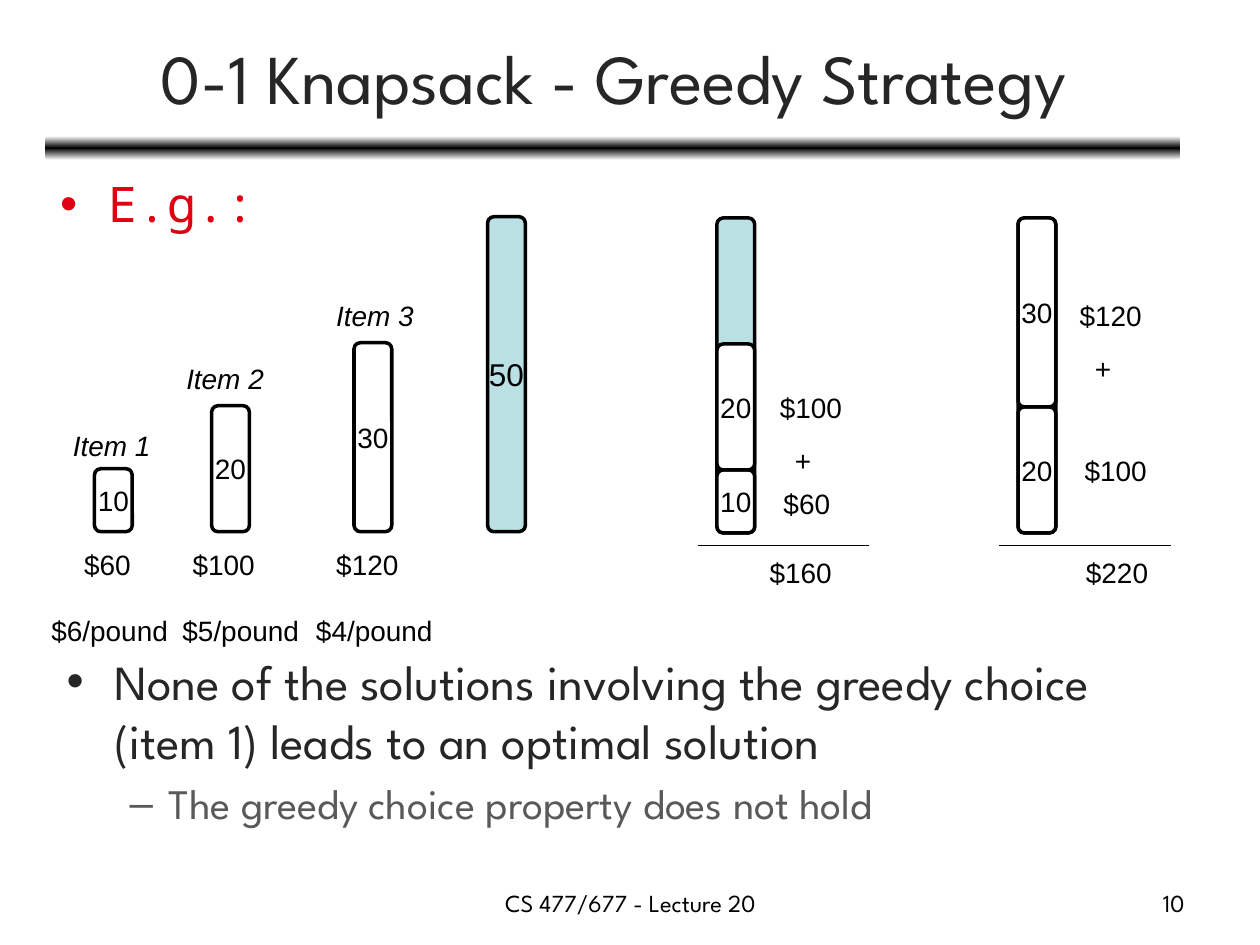
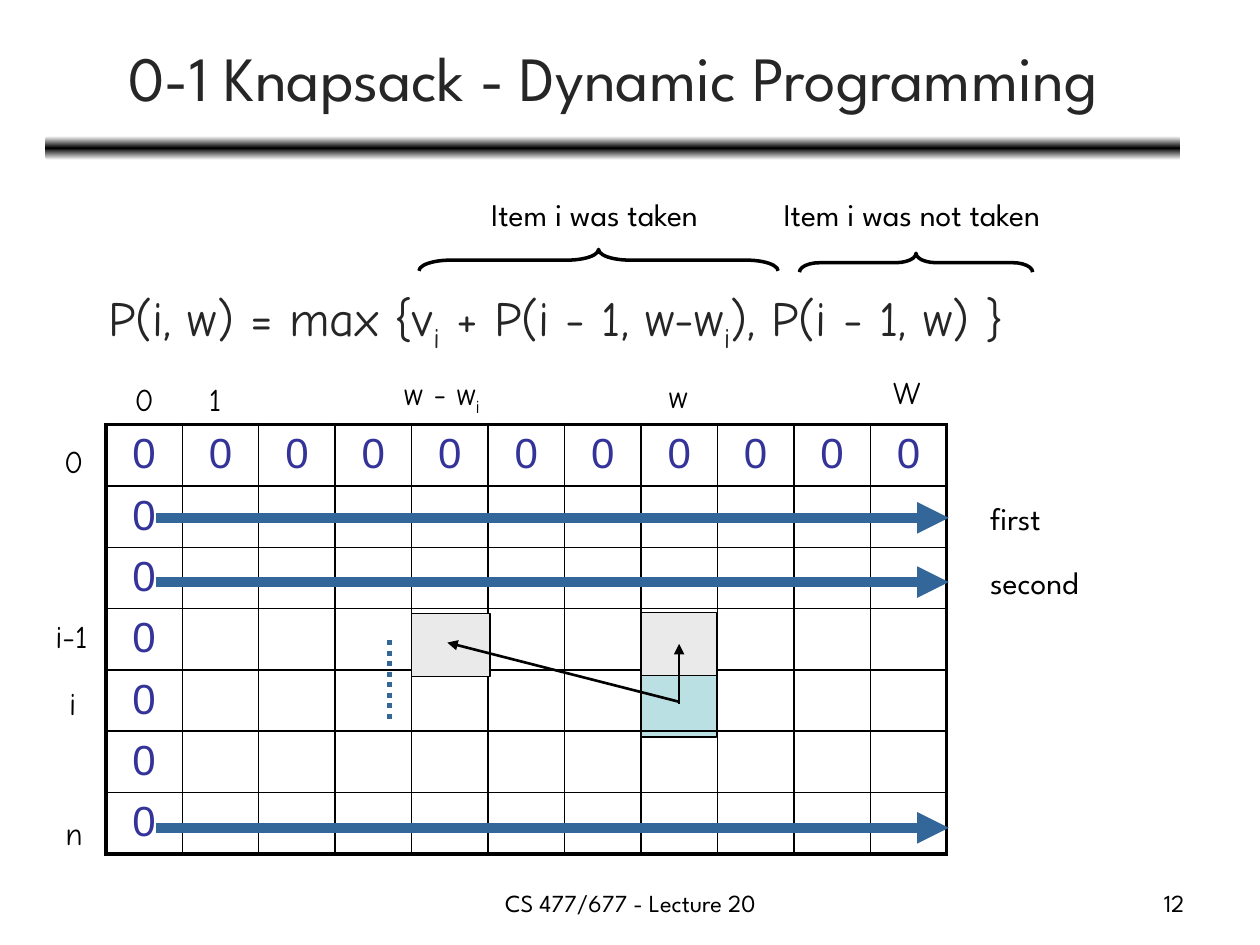
from copy import deepcopy

from lxml import etree
from pptx import Presentation
from pptx import util as u
from pptx.dml.color import RGBColor
from pptx.enum import dml, shapes, text
from pptx.oxml.ns import qn

BLACK = RGBColor(0x00, 0x00, 0x00)
WHITE = RGBColor(0xFF, 0xFF, 0xFF)
INK = RGBColor(0x26, 0x26, 0x26)
SOFT_INK = RGBColor(0x59, 0x59, 0x59)
RED = RGBColor(0xDD, 0x01, 0x11)
TEAL = RGBColor(0xBB, 0xE0, 0xE3)
GREY = RGBColor(0xEA, 0xEA, 0xEA)
NAVY = RGBColor(0x33, 0x33, 0x99)
STEEL = RGBColor(0x33, 0x66, 0x99)

SPARTAN = "League Spartan"
COMIC = "Comic Neue"
MONO = "Noto Sans Mono"
ARIAL = "Arial"

SLIDE_COLUMNS, SLIDE_ROWS = 100, 75
UNIT = u.Inches(0.1)

BAR_WIDTH = 3
UNITS_PER_POUND = 0.5
SHELF = 42.2

TABLE_LEFT, TABLE_TOP = 8.4, 33.7
TABLE_COLUMNS, TABLE_ROWS = 11, 7
CELL_WIDTH, CELL_HEIGHT = 6.07, 4.87


def grid(*lengths):
    return [round(length * UNIT) for length in lengths]


def format_span(span, size, font, color, italic=False, subscript=False):
    span.font.size = u.Pt(size)
    span.font.name = font
    span.font.color.rgb = color
    span.font.italic = italic
    if subscript:
        span._r.get_or_add_rPr().set("baseline", "-25000")


def fill_para(para, value, *, size=16, font=ARIAL, color=BLACK, italic=False,
              align=text.PP_ALIGN.LEFT, before=0, bullet=None, indent=0, hanging=0):
    para.alignment = align
    if before:
        para.space_before = u.Pt(before)
    if indent:
        properties = para._p.get_or_add_pPr()
        properties.set("marL", str(grid(indent)[0]))
        properties.set("indent", str(-grid(hanging)[0]))
        if bullet:
            etree.SubElement(properties, qn("a:buFont"), typeface="Arial")
            etree.SubElement(properties, qn("a:buChar"), char=bullet)
    for index, piece in enumerate(value.split("_")):
        if piece:
            span = para.add_run()
            span.text = piece
            format_span(span, size, font, color, italic, subscript=index % 2 == 1)


def add_text(page, value, place, *, wrap=True, grow=False,
             anchor=text.MSO_ANCHOR.TOP, **style):
    box = page.shapes.add_textbox(*grid(*place))
    frame = box.text_frame
    frame.word_wrap = wrap
    frame.vertical_anchor = anchor
    frame.auto_size = (text.MSO_AUTO_SIZE.SHAPE_TO_FIT_TEXT if grow
                       else text.MSO_AUTO_SIZE.NONE)
    fill_para(frame.paragraphs[0], value, **style)
    return box


def add_label(page, value, left, top, width, *, height=3.7, wrap=False, **style):
    return add_text(page, value, (left, top, width, height),
                    wrap=wrap, grow=True, **style)


def add_block(page, kind, place, *, fill=None, line=BLACK, weight=0.75):
    block = page.shapes.add_shape(kind, *grid(*place))
    block.shadow.inherit = False
    if fill is None:
        block.fill.background()
    else:
        block.fill.solid()
        block.fill.fore_color.rgb = fill
    if line is None:
        block.line.fill.background()
    else:
        block.line.color.rgb = line
        block.line.width = u.Pt(weight)
    return block


def add_line(page, start, end, *, color=BLACK, weight=0.75, dash=None, arrow=False):
    line = page.shapes.add_connector(shapes.MSO_CONNECTOR.STRAIGHT,
                                     *grid(*start, *end))
    line.line.color.rgb = color
    line.line.width = u.Pt(weight)
    if dash:
        line.line.dash_style = dash
    if arrow:
        etree.SubElement(line.line._get_or_add_ln(), qn("a:tailEnd"), type="triangle")
    etree.SubElement(line._element.spPr, qn("a:effectLst"))


def add_band(page):
    band = add_block(page, shapes.MSO_SHAPE.ROUNDED_RECTANGLE,
                     (3.6, 10.8, 90.1, 1.9), line=None)
    band.fill.gradient()
    band.fill.gradient_angle = 90
    stops = band._element.spPr.find(".//" + qn("a:gsLst"))
    stops.append(deepcopy(stops[0]))
    for index, color in enumerate((WHITE, BLACK, WHITE)):
        stop = band.fill.gradient_stops[index]
        stop.position = index / 2
        stop.color.rgb = color


def add_page(deck, title, number, title_size):
    page = deck.slides.add_slide(deck.slide_layouts[6])
    add_band(page)
    add_text(page, title, (3.7, 1.1, 90, 9.9), size=title_size, font=SPARTAN,
             color=INK, align=text.PP_ALIGN.CENTER, anchor=text.MSO_ANCHOR.MIDDLE)
    add_text(page, "CS 477/677 - Lecture 20", (34.2, 70, 31.7, 3.5), size=14,
             font=SPARTAN, align=text.PP_ALIGN.CENTER)
    add_text(page, number, (71.7, 70, 23.3, 3.5), size=14, font=SPARTAN,
             align=text.PP_ALIGN.RIGHT)
    return page


def add_bar(page, left, pounds, *, bottom=SHELF, fill=WHITE, size=16, labelled=True):
    height = pounds * UNITS_PER_POUND
    bar = add_block(page, shapes.MSO_SHAPE.ROUNDED_RECTANGLE,
                    (left, bottom - height, BAR_WIDTH, height), fill=fill, weight=2)
    if labelled:
        frame = bar.text_frame
        frame.word_wrap = False
        frame.vertical_anchor = text.MSO_ANCHOR.MIDDLE
        fill_para(frame.paragraphs[0], str(pounds), size=size,
                  align=text.PP_ALIGN.CENTER)
    return bottom - height


def add_packed_sack(page, left, loads):
    bottom = SHELF + 0.1
    add_bar(page, left, 50, bottom=bottom, fill=TEAL, labelled=False)
    for pounds in loads:
        bottom = add_bar(page, left, pounds, bottom=bottom)
    add_line(page, (left - 1.5, 43.3), (left + 12.1, 43.3))


def add_addend(page, value, left, top):
    box = add_label(page, value, left, top, 6.9, height=7.7)
    fill_para(box.text_frame.add_paragraph(), "+", before=11, indent=1.2)


def add_brace(page, center, top, width, depth, curl):
    brace = add_block(page, shapes.MSO_SHAPE.LEFT_BRACE,
                      (center - depth / 2, top + depth / 2 - width / 2, depth, width),
                      weight=2)
    brace.adjustments[0] = curl
    brace.rotation = 90


def set_border(cell, side, weight):
    edge = etree.SubElement(cell._tc.get_or_add_tcPr(), qn("a:ln" + side),
                            w=str(u.Pt(weight)))
    paint = etree.SubElement(edge, qn("a:solidFill"))
    etree.SubElement(paint, qn("a:srgbClr"), val=str(BLACK))


def add_value_table(page):
    table = page.shapes.add_table(
        TABLE_ROWS, TABLE_COLUMNS,
        *grid(TABLE_LEFT, TABLE_TOP, TABLE_COLUMNS * CELL_WIDTH,
              TABLE_ROWS * CELL_HEIGHT)).table
    table.first_row = table.horz_banding = False
    for column in table.columns:
        column.width = grid(CELL_WIDTH)[0]
    for row_index, row in enumerate(table.rows):
        row.height = grid(CELL_HEIGHT)[0]
        for column_index, cell in enumerate(row.cells):
            outer = {"L": column_index == 0, "R": column_index == TABLE_COLUMNS - 1,
                     "T": row_index == 0, "B": row_index == TABLE_ROWS - 1}
            for side, is_outer in outer.items():
                set_border(cell, side, 2.25 if is_outer else 1)
            cell.fill.background()
            if row_index == 0 or column_index == 0:
                fill_para(cell.text_frame.paragraphs[0], "0", size=24, color=NAVY,
                          align=text.PP_ALIGN.CENTER)


def build_greedy(deck):
    page = add_page(deck, "0-1 Knapsack - Greedy Strategy", "10", 40)
    add_text(page, "E.g.:", (3.8, 13.3, 90, 11.8), size=28, font=MONO, color=RED,
             bullet="•", indent=3.8, hanging=3.8)

    items = [(7.5, 10, 4.8, 33.5, "$60", 5.7, 5.7, "$6/pound", 3.1),
             (16.8, 20, 13.8, 28.2, "$100", 14.3, 6.9, "$5/pound", 13.5),
             (28.1, 30, 25.7, 23.2, "$120", 25.7, 6.9, "$4/pound", 24.1)]
    for number, item in enumerate(items, 1):
        left, pounds, name_left, name_top, price, price_left, width, rate, rate_left = item
        add_bar(page, left, pounds)
        add_label(page, f"Item {number}", name_left, name_top, 8.2, italic=True)
        add_label(page, price, price_left, 43, width)
        add_label(page, rate, rate_left, 48.2, 11.3)
    add_bar(page, 38.7, 50, fill=TEAL, size=18)

    add_packed_sack(page, 56.9, (10, 20))
    add_addend(page, "$100", 60.9, 30.5)
    add_label(page, "$60", 61.2, 38.1, 5.7)
    add_label(page, "$160", 60.1, 43.6, 6.9)

    add_packed_sack(page, 80.8, (20, 30))
    add_addend(page, "$120", 84.7, 23.2)
    add_label(page, "$100", 85.1, 35.5, 6.9)
    add_label(page, "$220", 85.2, 43.6, 6.9)

    summary = add_text(page, "None of the solutions involving the greedy choice "
                       "(item 1) leads to an optimal solution", (4.3, 51.2, 90, 20.5),
                       size=28, font=SPARTAN, color=INK, bullet="•",
                       indent=3.8, hanging=3.8)
    fill_para(summary.text_frame.add_paragraph(),
              "The greedy choice property does not hold", size=24, font=SPARTAN,
              color=SOFT_INK, before=4.8, bullet="–", indent=8.1, hanging=3.1)


def build_dynamic(deck):
    page = add_page(deck, "0-1 Knapsack - Dynamic Programming", "12", 36)
    square = shapes.MSO_SHAPE.RECTANGLE
    w_left = TABLE_LEFT + 7 * CELL_WIDTH
    rest_left = TABLE_LEFT + 4 * CELL_WIDTH
    add_block(page, square, (w_left, 53.5, 6, 5), fill=TEAL)
    add_value_table(page)

    headings = [("0", 9.7, 29.7, 3.5), ("1", 15.6, 29.7, 3.1),
                ("w - w_i_", 31.1, 29.2, 8.8), ("w", 52.1, 29.4, 3.9),
                ("W", 69.9, 29.1, 4.8), ("0", 4.1, 34.6, 3.5),
                ("i-1", 3.4, 48.5, 4.9), ("i", 4.5, 53.8, 2.7), ("n", 4.2, 64.1, 3.3)]
    for value, left, top, width in headings:
        add_label(page, value, left, top, width, height=4, size=18, font=COMIC,
                  wrap="w" in value.lower())

    add_text(page, "P(i, w) = max {v_i_ + P(i - 1, w-w_i_), P(i - 1, w) }",
             (3.8, 22.3, 90, 7.9), size=28, font=COMIC, color=INK, indent=3.8)
    for value, left, width in (("Item i was taken", 38, 22.8),
                               ("Item i was not taken", 61.2, 27.5)):
        add_label(page, value, left, 15, width, height=4, size=18, font=SPARTAN,
                  wrap=True)
    add_brace(page, 47.5, 19.8, 28.5, 1.7, 1.47)
    add_brace(page, 72.7, 20.1, 18.5, 1.5, 1.06)

    add_block(page, square, (w_left, 48.6, 6, 5), fill=GREY)
    add_line(page, (53.9, 55.9), (53.9, 51.1), weight=1.5, arrow=True)
    add_block(page, square, (rest_left, 48.7, 6.2, 5), fill=GREY)
    add_line(page, (53.9, 55.7), (35.5, 51), weight=1.5, arrow=True)

    for height in (41.1, 46.2, 65.7):
        add_line(page, (12.4, height), (75.3, height), color=STEEL, weight=6,
                 arrow=True)
    add_line(page, (30.9, 50.8), (30.9, 57.4), color=STEEL, weight=3,
             dash=dml.MSO_LINE.ROUND_DOT)
    for value, top, width in (("first", 39.1, 6), ("second", 44.2, 11.2)):
        add_label(page, value, 77.6, top, width, height=4, size=18, font=SPARTAN)


def main():
    deck = Presentation()
    deck.slide_width, deck.slide_height = grid(SLIDE_COLUMNS, SLIDE_ROWS)
    build_greedy(deck)
    build_dynamic(deck)
    deck.save("out.pptx")


if __name__ == "__main__":
    main()
